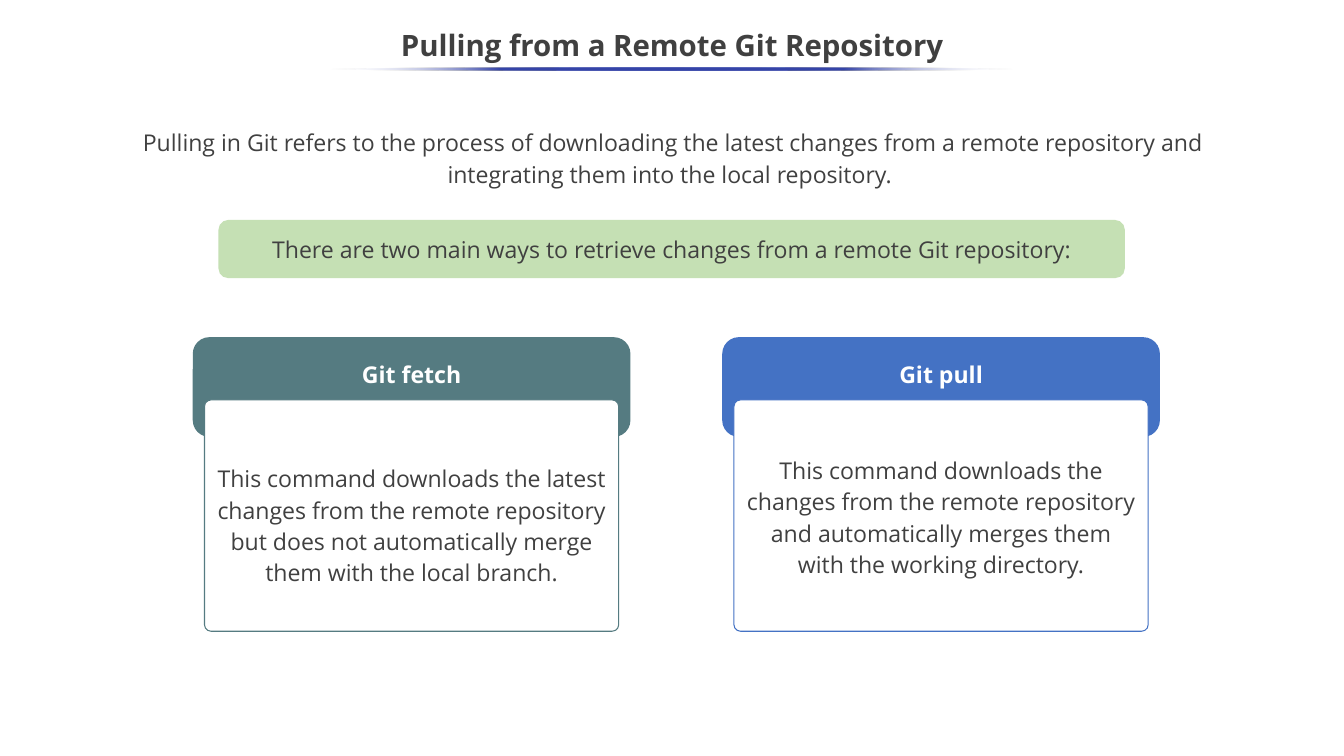
from collections import namedtuple
from dataclasses import dataclass

from lxml import etree
from pptx import Presentation
from pptx.dml.color import RGBColor
from pptx.enum.shapes import MSO_SHAPE as Shape
from pptx.enum.text import MSO_ANCHOR as Anchor, MSO_AUTO_SIZE as AutoSize, PP_ALIGN as Align
from pptx.oxml import parse_xml
from pptx.oxml.ns import nsdecls
from pptx.util import Pt

Box = namedtuple("Box", "left top width height")


@dataclass(frozen=True)
class Theme:
    font: str = "Open Sans"
    title_size: int = 28
    text_size: int = 22
    text: str = "404040"
    white: str = "FFFFFF"
    rule: str = "3645A9"
    banner: str = "C5E0B4"
    fetch: str = "557B81"
    pull: str = "4472C4"


THEME = Theme()
TITLE_BOX = Box(0, 18, 1280.16, 54)
RULE_BOX = Box(314, 64.4, 652.3, 2.9)
INTRO_BOX = Box(101.5, 118.8, 1078.6, 71.3)
BANNER_BOX = Box(208.1, 209.5, 863.3, 55.4)
CARDS_BOX = Box(183.6, 321.1, 921.2, 280.1)
CARD_WIDTH = 416.9

# Heading, colour, paragraphs, top inset of the description
CARDS = [
    ("Git fetch", THEME.fetch,
     ["This command downloads the latest changes from the remote repository "
      "but does not automatically merge them with the local branch."], 19),
    ("Git pull", THEME.pull,
     ["This command downloads the changes from the remote repository "
      "and automatically merges them",
      "with the working directory."], 3.6),
]


def place(item, box):
    item.left, item.top, item.width, item.height = (Pt(length) for length in box)


def write(item, lines, color=THEME.text, size=THEME.text_size, bold=False,
          spacing=1.0, anchor=Anchor.MIDDLE, top=3.6, bottom=3.6):
    frame = item.text_frame
    frame.word_wrap = True
    frame.auto_size = AutoSize.NONE
    frame.vertical_anchor = anchor
    frame.margin_left = frame.margin_right = Pt(7.2)
    frame.margin_top, frame.margin_bottom = Pt(top), Pt(bottom)
    for index, line in enumerate(lines):
        para = frame.add_paragraph() if index else frame.paragraphs[0]
        para.alignment = Align.CENTER
        para.line_spacing = spacing
        para.space_before = para.space_after = Pt(0)
        span = para.add_run()
        span.text = line
        span.font.name = THEME.font
        span.font.size = Pt(size)
        span.font.bold = bold
        span.font.color.rgb = RGBColor.from_string(color)


def add_panel(page, kind, box, fill, line=None):
    panel = page.shapes.add_shape(kind, *(Pt(length) for length in box))
    panel.shadow.inherit = False
    panel.fill.solid()
    panel.fill.fore_color.rgb = RGBColor.from_string(fill)
    if line:
        panel.line.color.rgb = RGBColor.from_string(line)
        panel.line.width = Pt(1)
    else:
        panel.line.fill.background()
    return panel


def fade_ends(panel, color):
    """Swap the solid fill for one that turns clear at both ends."""
    clear = f'<a:srgbClr val="{THEME.white}"><a:alpha val="0"/></a:srgbClr>'
    solid = f'<a:srgbClr val="{color}"/>'
    stops = "".join(
        f'<a:gs pos="{percent * 1000}">{clear if percent in (0, 100) else solid}</a:gs>'
        for percent in range(0, 101, 25))
    gradient = parse_xml(
        f'<a:gradFill {nsdecls("a")} rotWithShape="1"><a:gsLst>{stops}</a:gsLst>'
        '<a:lin ang="10800000" scaled="0"/></a:gradFill>')
    props = panel.fill._xPr
    old = next(child for child in props if etree.QName(child).localname == "solidFill")
    props.replace(old, gradient)


def add_heading(page, box, rule_box):
    title = page.shapes.title
    place(title, box)
    write(title, ["Pulling from a Remote Git Repository"],
          size=THEME.title_size, bold=True, spacing=0.9)
    rule = add_panel(page, Shape.OVAL, rule_box, THEME.rule)
    fade_ends(rule, THEME.rule)


def add_intro(page, box):
    intro = page.shapes.add_textbox(*(Pt(length) for length in box))
    write(intro, ["Pulling in Git refers to the process of downloading the latest changes "
                  "from a remote repository and integrating them into the local repository. "],
          spacing=1.15, anchor=Anchor.TOP, top=0, bottom=0)


def add_banner(page, box):
    banner = add_panel(page, Shape.ROUNDED_RECTANGLE, box, THEME.banner)
    write(banner, ["There are two main ways to retrieve changes from a remote Git repository:"])


def add_card(page, box, heading, color, lines, top):
    # Coloured tab behind the description
    tab = add_panel(page, Shape.ROUNDED_RECTANGLE,
                    Box(box.left, box.top, box.width, 95), color)
    write(tab, [heading], THEME.white, bold=True, anchor=Anchor.TOP, top=17.2)
    # Outlined description, inset on both sides
    inset, drop = 11.2, 59.8
    body = add_panel(page, Shape.ROUNDED_RECTANGLE,
                     Box(box.left + inset, box.top + drop,
                         box.width - 2 * inset, box.height - drop),
                     THEME.white, color)
    body.adjustments[0] = 0.028
    write(body, lines, spacing=1.13, top=top)


def add_cards(page, box):
    pitch = (box.width - CARD_WIDTH) / (len(CARDS) - 1)
    for index, card in enumerate(CARDS):
        add_card(page, Box(box.left + index * pitch, box.top, CARD_WIDTH, box.height), *card)


def main():
    deck = Presentation()
    deck.slide_width, deck.slide_height = Pt(1280.16), Pt(720)
    page = deck.slides.add_slide(deck.slide_layouts.get_by_name("Title Only"))
    add_heading(page, TITLE_BOX, RULE_BOX)
    add_intro(page, INTRO_BOX)
    add_banner(page, BANNER_BOX)
    add_cards(page, CARDS_BOX)
    deck.save("out.pptx")


if __name__ == "__main__":
    main()
